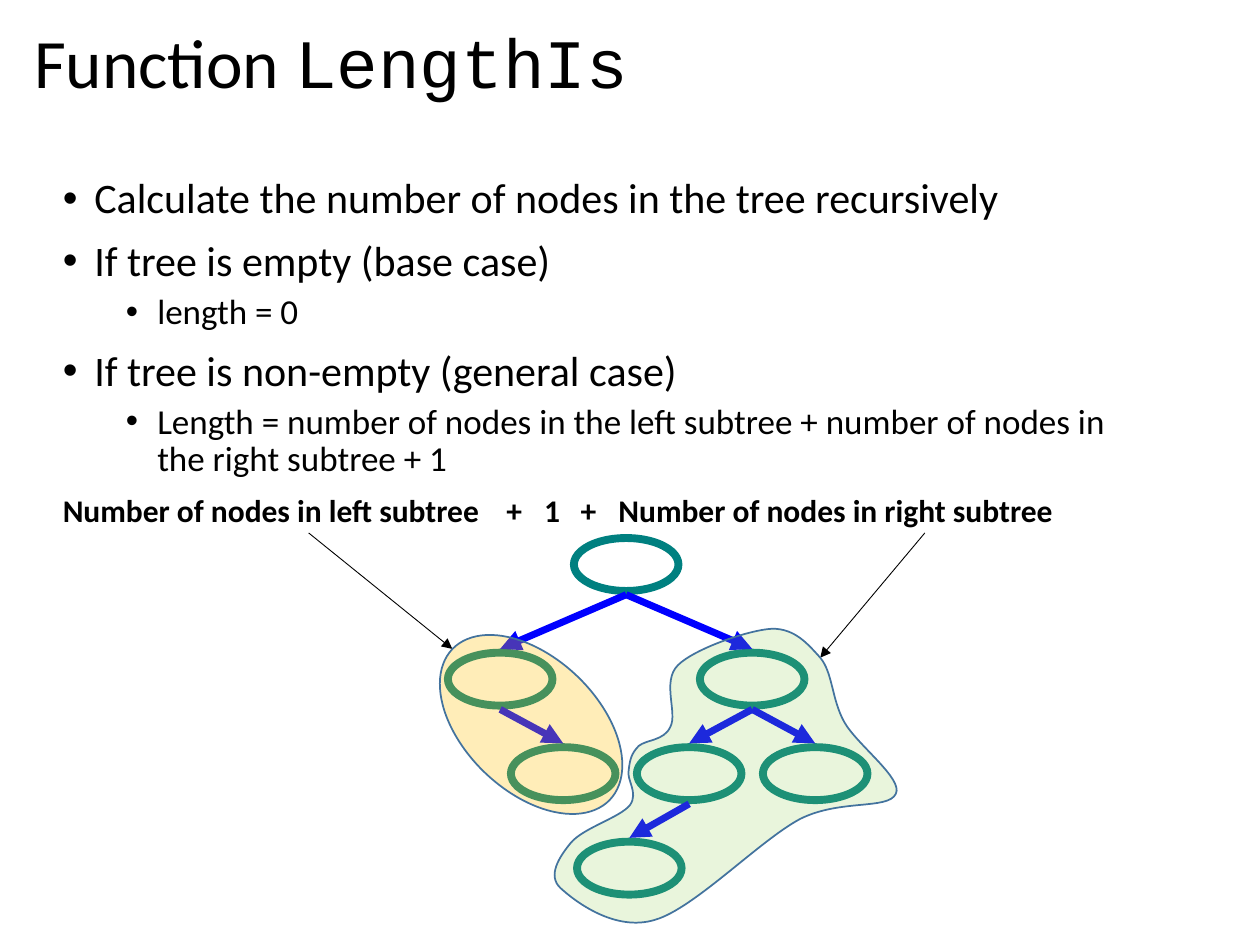
from lxml.etree import SubElement
from pptx import Presentation
from pptx.dml.color import RGBColor
from pptx.enum.shapes import MSO_CONNECTOR, MSO_SHAPE
from pptx.enum.text import MSO_ANCHOR, MSO_AUTO_SIZE, PP_ALIGN
from pptx.oxml.ns import qn
from pptx.util import Inches, Pt

BLACK = RGBColor(0x00, 0x00, 0x00)
TEAL = RGBColor(0x00, 0x80, 0x80)
BLUE = RGBColor(0x00, 0x00, 0xFF)
STEEL = RGBColor(0x43, 0x73, 0x9E)
GOLD = RGBColor(0xFF, 0xC0, 0x00)
GREEN = RGBColor(0x92, 0xD0, 0x50)

TITLE = [("Function ", "Calibri"), ("LengthIs", "Courier New")]
BULLETS = [
    (0, "Calculate the number of nodes in the tree recursively"),
    (0, "If tree is empty (base case)"),
    (1, "length = 0"),
    (0, "If tree is non-empty (general case)"),
    (1, "Length = number of nodes in the left subtree + number of nodes in the right subtree + 1"),
]
LEVEL_STYLES = [(0.25, 24, 10), (0.75, 20, 5)]
FORMULA = ["Number of nodes in left subtree", "+", "1", "+", "Number of nodes in right subtree"]
FORMULA_TABS = [3.52, 3.82, 4.11, 4.41]

NODE_WIDTH, NODE_HEIGHT, NODE_GAP = 0.83, 0.42, 0.03
COLUMN_ORIGIN, COLUMN_STEP = 3.97, 0.5
ROW_TOPS = [4.27, 5.18, 5.93, 6.68]
NODES = {
    "root": (2, 0),
    "left": (0, 1),
    "right": (4, 1),
    "left right": (1, 2),
    "right left": (3, 2),
    "right right": (5, 2),
    "right left left": (2.05, 3),
}
EDGES = [
    ("left", "left right"),
    ("right", "right right"),
    ("root", "right"),
    ("root", "left"),
    ("right", "right left"),
    ("right left", "right left left"),
]
POINTERS = [((7.34, 4.23), (6.51, 5.22)), ((2.45, 4.23), (3.59, 5.15))]
RIGHT_CORNERS = (4.4, 4.99), (7.12, 7.32)
RIGHT_START = (6.13, 4.99)
RIGHT_CURVES = [
    ((5.94, 5), (5.51, 5.15), (5.38, 5.28)),
    ((5.25, 5.41), (5.38, 5.66), (5.32, 5.77)),
    ((5.27, 5.88), (5.13, 5.87), (5.07, 5.92)),
    ((5.01, 5.98), (5, 6.03), (4.99, 6.11)),
    ((4.97, 6.19), (5.07, 6.29), (5, 6.39)),
    ((4.92, 6.49), (4.63, 6.57), (4.53, 6.69)),
    ((4.44, 6.8), (4.34, 6.95), (4.45, 7.05)),
    ((4.56, 7.15), (4.88, 7.4), (5.2, 7.3)),
    ((5.51, 7.21), (6.03, 6.67), (6.35, 6.5)),
    ((6.67, 6.34), (7.05, 6.43), (7.11, 6.3)),
    ((7.17, 6.18), (6.8, 5.91), (6.7, 5.73)),
    ((6.6, 5.55), (6.61, 5.34), (6.51, 5.22)),
    ((6.41, 5.11), (6.31, 4.99), (6.13, 4.99)),
]


def inches(*lengths):
    return [Inches(length) for length in lengths]


def style_font(font, size, name="Calibri", bold=False):
    font.size, font.name, font.bold = Pt(size), name, bold
    font.color.rgb = BLACK


def add_text_box(slide, *box):
    frame = slide.shapes.add_textbox(*inches(*box)).text_frame
    frame.word_wrap = True
    return frame


def add_title(slide):
    title = slide.shapes.title
    title.left, title.top, title.width, title.height = inches(0.17, 0.18, 9.62, 0.74)
    frame = title.text_frame
    frame.auto_size = MSO_AUTO_SIZE.NONE
    frame.vertical_anchor = MSO_ANCHOR.MIDDLE
    frame.margin_bottom = Inches(0.1)
    paragraph = frame.paragraphs[0]
    paragraph.alignment = PP_ALIGN.LEFT
    paragraph.line_spacing = 0.9
    for text, name in TITLE:
        run = paragraph.add_run()
        run.text = text
        style_font(run.font, 39.6, name)


def add_bullets(slide):
    frame = add_text_box(slide, 0.4, 1.36, 8.8, 5.24)
    for index, (level, text) in enumerate(BULLETS):
        margin, size, space = LEVEL_STYLES[level]
        paragraph = frame.add_paragraph() if index else frame.paragraphs[0]
        paragraph.text = text
        paragraph.level = level
        properties = paragraph._p.get_or_add_pPr()
        properties.set("marL", str(Inches(margin)))
        properties.set("indent", str(Inches(-0.25)))
        SubElement(properties, qn("a:buFont"), typeface="Arial")
        SubElement(properties, qn("a:buChar"), char="•")
        paragraph.line_spacing = 0.9
        paragraph.space_before = Pt(space if index else 0)
        style_font(paragraph.font, size)


def add_formula(slide):
    paragraph = add_text_box(slide, 0.4, 3.85, 9.33, 0.71).paragraphs[0]
    paragraph.text = "\t".join(FORMULA)
    tabs = SubElement(paragraph._p.get_or_add_pPr(), qn("a:tabLst"))
    for position in FORMULA_TABS:
        SubElement(tabs, qn("a:tab"), pos=str(Inches(position)), algn="l")
    style_font(paragraph.font, 18, bold=True)


def style_shape(shape, line_color, line_width, fill_color=None, opacity=100):
    shape.shadow.inherit = False
    shape.line.color.rgb = line_color
    shape.line.width = Pt(line_width)
    if fill_color is None:
        shape.fill.background()
        return
    shape.fill.solid()
    shape.fill.fore_color.rgb = fill_color
    color = shape._element.spPr.find(qn("a:solidFill"))[0]
    SubElement(color, qn("a:alpha"), val=str(opacity * 1000))


def add_arrow(slide, start, end, color, width):
    arrow = slide.shapes.add_connector(MSO_CONNECTOR.STRAIGHT, *inches(*start, *end))
    arrow.line.color.rgb = color
    arrow.line.width = Pt(width)
    SubElement(arrow.line._get_or_add_ln(), qn("a:tailEnd"), type="triangle")
    SubElement(arrow._element.spPr, qn("a:effectLst"))


def node_position(name):
    column, row = NODES[name]
    return COLUMN_ORIGIN + column * COLUMN_STEP, ROW_TOPS[row]


def add_tree(slide):
    for name in NODES:
        center, top = node_position(name)
        box = inches(center - NODE_WIDTH / 2, top, NODE_WIDTH, NODE_HEIGHT)
        style_shape(slide.shapes.add_shape(MSO_SHAPE.OVAL, *box), TEAL, 4.5)
    for parent, child in EDGES:
        parent_x, parent_top = node_position(parent)
        child_x, child_top = node_position(child)
        start = (parent_x, parent_top + NODE_HEIGHT + NODE_GAP)
        add_arrow(slide, start, (child_x, child_top - NODE_GAP), BLUE, 4)


def add_curved_outline(slide, corners, start, curves):
    first, last = (inches(*corner) for corner in corners)
    builder = slide.shapes.build_freeform(*first)
    builder.add_line_segments([last])
    shape = builder.convert_to_shape()
    outline = next(shape._element.iter(qn("a:path")))
    for segment in list(outline):
        outline.remove(segment)
    segments = [("a:moveTo", [start])] + [("a:cubicBezTo", curve) for curve in curves]
    for tag, points in segments:
        segment = SubElement(outline, qn(tag))
        for point in points:
            x, y = inches(*point)
            SubElement(segment, qn("a:pt"), x=str(x - first[0]), y=str(y - first[1]))
    SubElement(outline, qn("a:close"))
    return shape


def add_subtree_outlines(slide):
    left = slide.shapes.add_shape(MSO_SHAPE.OVAL, *inches(3.35, 5.22, 1.73, 1.06))
    left.rotation = 43.8
    style_shape(left, STEEL, 1, GOLD, 28)
    right = add_curved_outline(slide, RIGHT_CORNERS, RIGHT_START, RIGHT_CURVES)
    style_shape(right, STEEL, 1, GREEN, 20)


def main():
    presentation = Presentation()
    presentation.slide_width, presentation.slide_height = inches(10, 7.5)
    slide = presentation.slides.add_slide(presentation.slide_layouts[5])
    add_title(slide)
    add_bullets(slide)
    add_tree(slide)
    add_formula(slide)
    for start, end in POINTERS:
        add_arrow(slide, start, end, BLACK, 0.5)
    add_subtree_outlines(slide)
    presentation.save("out.pptx")


if __name__ == "__main__":
    main()
